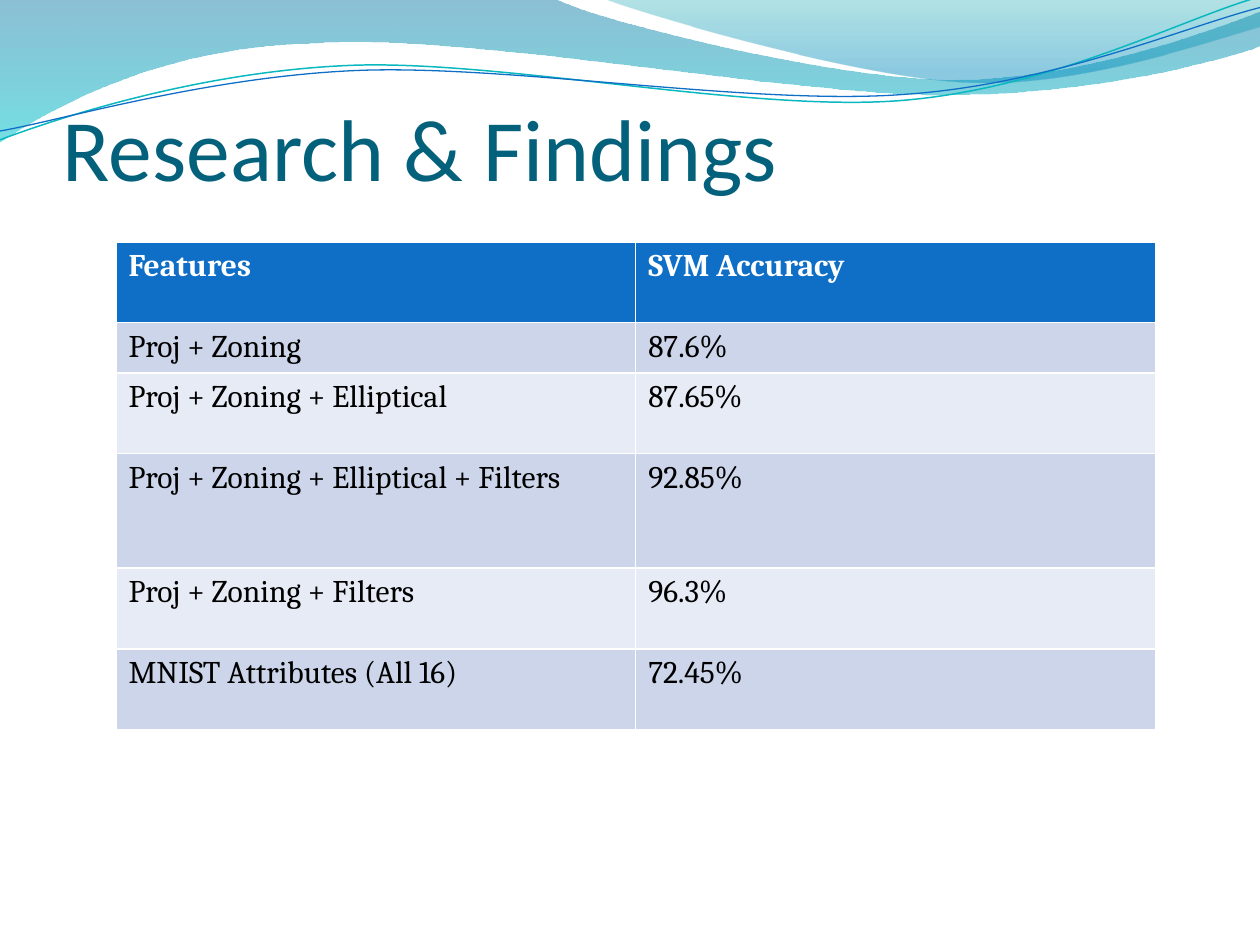
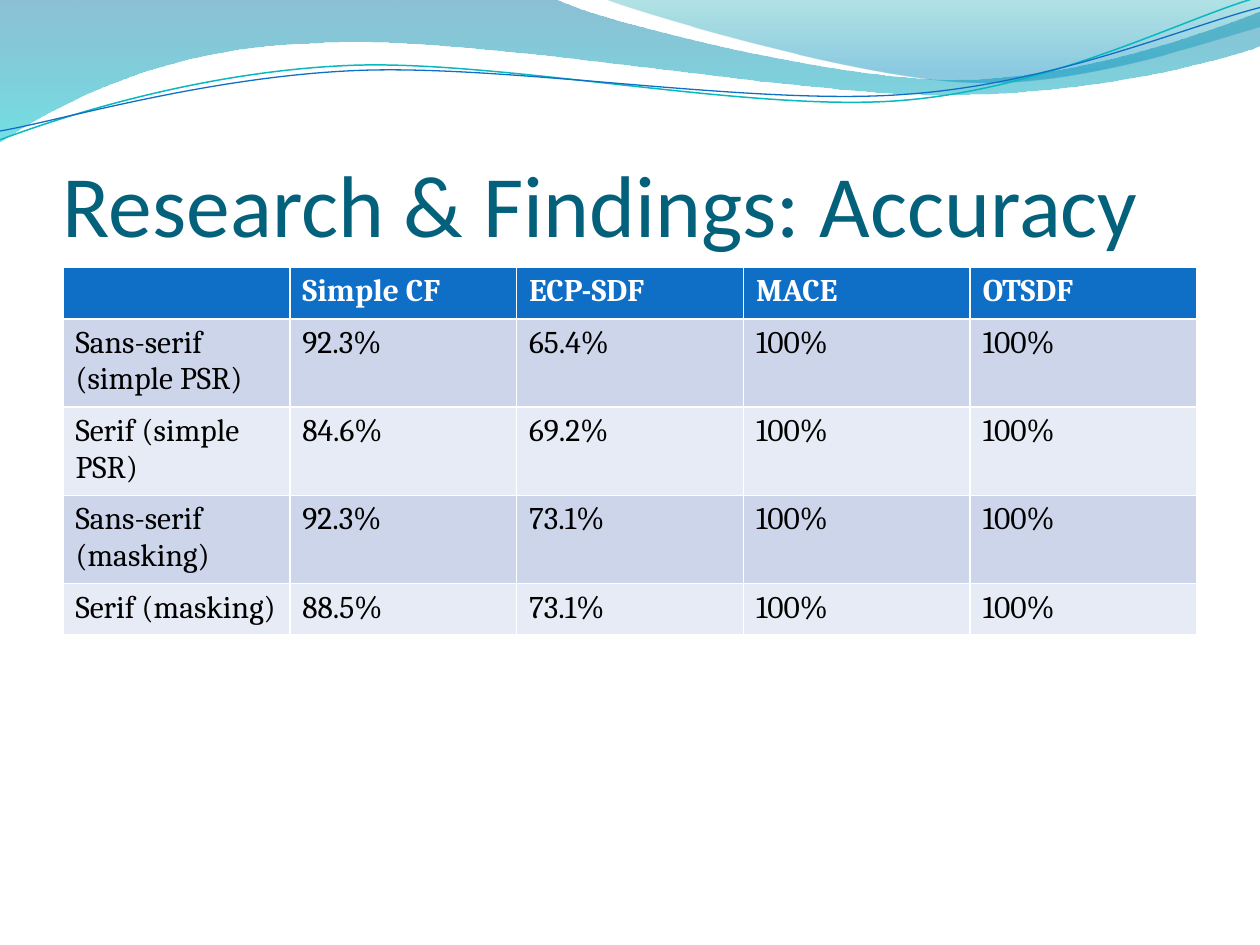
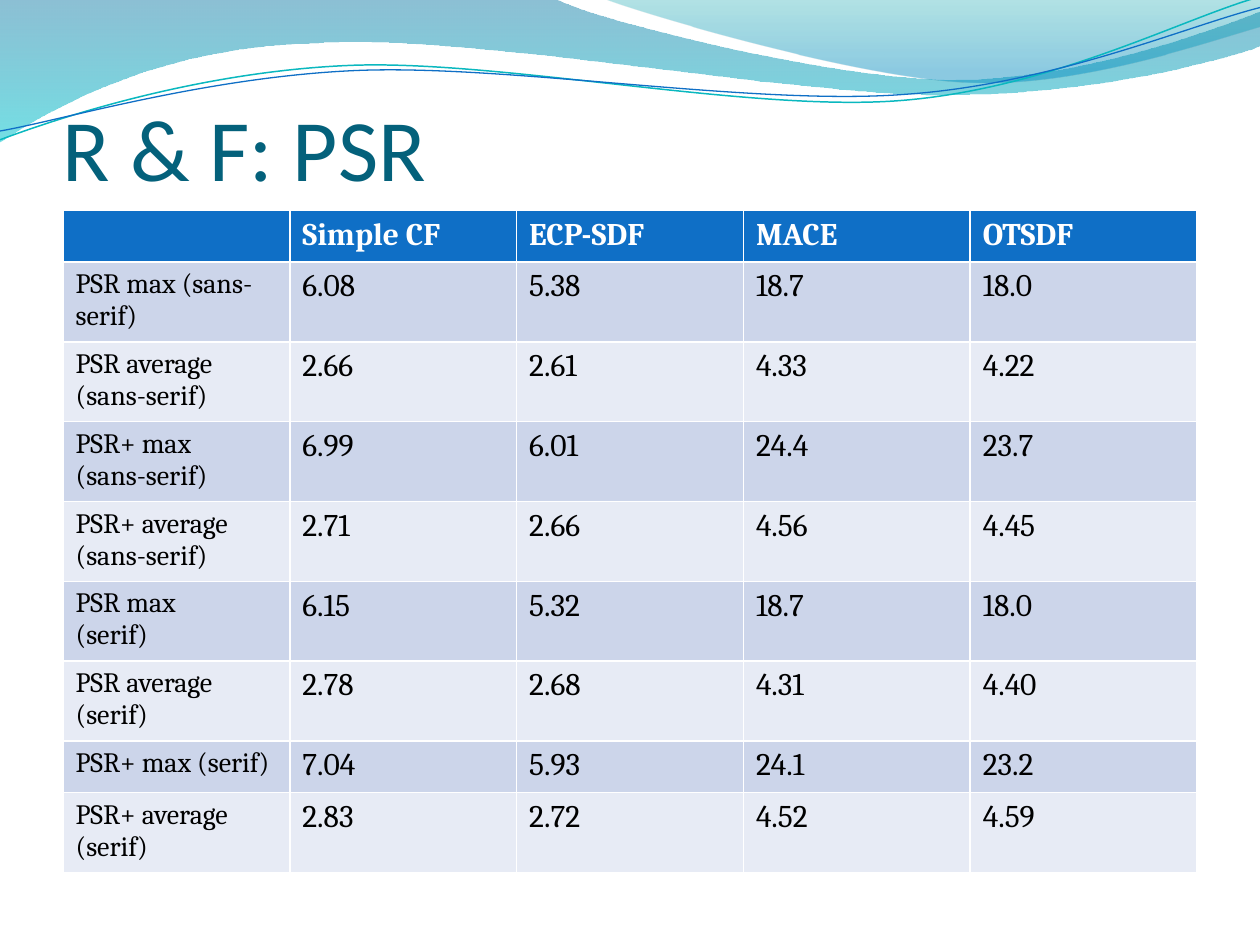
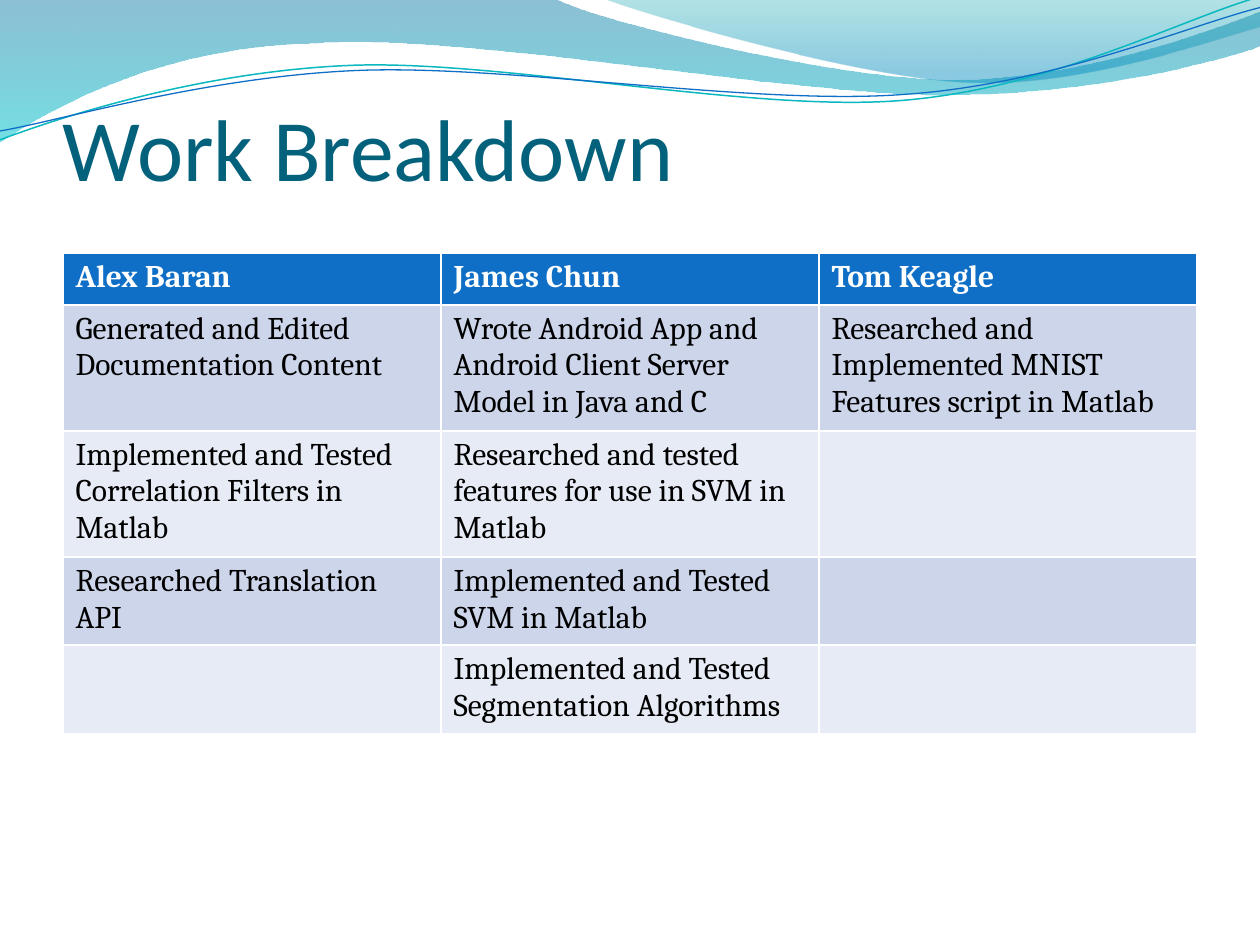
"""Build four slides of research results under a shared wave header."""
from lxml.etree import SubElement as Sub
from pptx import Presentation
from pptx.dml.color import RGBColor
from pptx.enum.text import MSO_ANCHOR as Anchor
from pptx.oxml.ns import qn
from pptx.util import Inches, Pt

WHITE, BLACK, BLUE, TITLE = "FFFFFF", "000000", "0F6FC6", "04617B"
BANDS = ["E7EBF5", "CCD5EA"]
HEAD_FONT, BODY_FONT = "Calibri", "Cambria"
ROW = 0.41
FILTERS = ["", "Simple CF", "ECP-SDF", "MACE", "OTSDF"]

SLIDES = [
    {
        "title": "Research & Findings", "top": 0.33,
        "at": (0.92, 1.92), "width": 8.25,
        "heights": [0.64, 0.37, 0.64, 0.91, 0.64, 0.64],
        "rows": [
            ["Features", "SVM Accuracy"],
            ["Proj + Zoning", "87.6%"],
            ["Proj + Zoning + Elliptical", "87.65%"],
            ["Proj + Zoning + Elliptical + Filters", "92.85%"],
            ["Proj + Zoning + Filters", "96.3%"],
            ["MNIST Attributes (All 16)", "72.45%"],
        ],
    },
    {
        "title": "Research & Findings: Accuracy", "top": 0.77,
        "at": (0.5, 2.12), "width": 9,
        "rows": [
            FILTERS,
            ["Sans-serif (simple PSR)", "92.3%", "65.4%", "100%", "100%"],
            ["Serif (simple PSR)", "84.6%", "69.2%", "100%", "100%"],
            ["Sans-serif (masking)", "92.3%", "73.1%", "100%", "100%"],
            ["Serif (masking)", "88.5%", "73.1%", "100%", "100%"],
        ],
    },
    {
        "title": "R & F: PSR", "top": 0.33,
        "at": (0.5, 1.67), "width": 9, "label": 16,
        "rows": [
            FILTERS,
            ["PSR max (sans-serif)", "6.08", "5.38", "18.7", "18.0"],
            ["PSR average\n(sans-serif)", "2.66", "2.61", "4.33", "4.22"],
            ["PSR+ max\n(sans-serif)", "6.99", "6.01", "24.4", "23.7"],
            ["PSR+ average (sans-serif)", "2.71", "2.66", "4.56", "4.45"],
            ["PSR max\n(serif)", "6.15", "5.32", "18.7", "18.0"],
            ["PSR average (serif)", "2.78", "2.68", "4.31", "4.40"],
            ["PSR+ max (serif)", "7.04", "5.93", "24.1", "23.2"],
            ["PSR+ average (serif)", "2.83", "2.72", "4.52", "4.59"],
        ],
    },
    {
        "title": "Work Breakdown", "top": 0.33,
        "at": (0.5, 2.01), "width": 9,
        "rows": [
            ["Alex Baran", "James Chun", "Tom Keagle"],
            ["Generated and Edited Documentation Content",
             "Wrote Android App and Android Client Server Model in Java and C",
             "Researched and Implemented MNIST Features script in Matlab"],
            ["Implemented and Tested Correlation Filters in Matlab",
             "Researched and tested features for use in SVM in Matlab", ""],
            ["Researched Translation API",
             "Implemented and Tested SVM in Matlab", ""],
            ["", "Implemented and Tested Segmentation Algorithms", ""],
        ],
    },
]

# Each step holds one point for a straight line or three for a curve.
WAVES = [
    {"start": (0, 0),
     "steps": [[(4.4, -0.01)],
               [(4.76, 0.17), (6.64, 0.63), (7.58, 0.63)],
               [(8.53, 0.63), (9.58, 0.26), (10, 0.09)],
               [(10.01, 0.36)],
               [(9.83, 0.44), (8.7, 0.76), (7.46, 0.75)],
               [(6.22, 0.75), (3.82, 0.28), (2.57, 0.34)],
               [(1.29, 0.36), (0.46, 0.83), (-0.01, 1.13)],
               [(0, 0)]],
     "stops": [(0, "0074A1", 45), (1, "00C6CF", 55)]},
    {"start": (4.79, -0.01),
     "steps": [[(5.09, 0.11), (6.82, 0.62), (7.69, 0.65)],
               [(8.56, 0.69), (9.61, 0.32), (10, 0.21)],
               [(10, 0)],
               [(4.79, -0.01)]],
     "stops": [(0, "00A1A9", 30), (0.8, "008BBF", 45)]},
    {"start": (0, 1.11),
     "steps": [[(0.48, 0.93), (1.58, 0.57), (2.77, 0.52)],
               [(3.95, 0.47), (5.93, 0.89), (7.13, 0.8)],
               [(8.33, 0.71), (9.38, 0.15), (9.98, -0.02)]],
     "line": ("0AB8BF", 0.85)},
    {"start": (0, 1.04),
     "steps": [[(0.47, 0.96), (1.64, 0.61), (2.83, 0.56)],
               [(4.03, 0.51), (5.97, 0.84), (7.17, 0.75)],
               [(8.36, 0.67), (9.41, 0.21), (10, 0.06)]],
     "line": (BLUE, 0.75)},
]


def rgb(code):
    return RGBColor.from_string(code)


def style(frame, size, font, color, bold=False):
    for para in frame.paragraphs:
        for run in para.runs:
            run.font.size = Pt(size)
            run.font.name = font
            run.font.bold = bold
            run.font.color.rgb = rgb(color)


def bend(shape, steps):
    legs = iter(list(shape.element.iter(qn("a:lnTo"))))
    for step in steps:
        group = [next(legs) for _ in step]
        if len(group) == 1:
            continue
        curve = group[0].makeelement(qn("a:cubicBezTo"))
        group[0].addprevious(curve)
        for leg in group:
            curve.append(leg[0])
            leg.getparent().remove(leg)


def add_wave(slide, wave):
    steps = wave["steps"]
    spots = [(Inches(x), Inches(y)) for step in steps for x, y in step]
    pen = slide.shapes.build_freeform(*map(Inches, wave["start"]))
    pen.add_line_segments(spots, close="stops" in wave)
    shape = pen.convert_to_shape()
    bend(shape, steps)
    shape.shadow.inherit = False
    if "line" in wave:
        color, width = wave["line"]
        shape.fill.background()
        shape.line.color.rgb = rgb(color)
        shape.line.width = Pt(width)
        return shape
    shape.line.fill.background()
    shape.fill.gradient()
    shape.fill.gradient_angle = 270
    for stop, (spot, color, _) in zip(shape.fill.gradient_stops, wave["stops"]):
        stop.position = spot
        stop.color.rgb = rgb(color)
    tints = list(shape.element.iter(qn("a:srgbClr")))
    for tint, (_, _, alpha) in zip(tints, wave["stops"]):
        Sub(tint, qn("a:alpha"), val=str(alpha * 1000))
    return shape


def add_title(slide, text, top):
    box = slide.shapes.add_textbox(Inches(0.5), Inches(top), Inches(9), Inches(1.25))
    frame = box.text_frame
    frame.word_wrap = True
    frame.vertical_anchor = Anchor.BOTTOM
    frame.margin_left = frame.margin_right = frame.margin_bottom = 0
    frame.margin_top = Inches(0.05)
    frame.text = text
    style(frame, 50, HEAD_FONT, TITLE)


def add_grid(slide, data):
    rows = data["rows"]
    heights = data.get("heights", [ROW] * len(rows))
    left, top = data["at"]
    table = slide.shapes.add_table(
        len(rows), len(rows[0]), Inches(left), Inches(top),
        Inches(data["width"]), Inches(sum(heights))).table
    for r, (texts, height) in enumerate(zip(rows, heights)):
        table.rows[r].height = Inches(height)
        head = r == 0
        for c, text in enumerate(texts):
            cell = table.cell(r, c)
            cell.fill.solid()
            cell.fill.fore_color.rgb = rgb(BLUE if head else BANDS[r % 2])
            cell.text_frame.text = text
            size = data.get("label", 18) if c == 0 else 18
            style(cell.text_frame, size, BODY_FONT, WHITE if head else BLACK, head)


def main():
    deck = Presentation()
    deck.slide_width, deck.slide_height = Inches(10), Inches(7.5)
    blank = deck.slide_layouts[6]
    for data in SLIDES:
        slide = deck.slides.add_slide(blank)
        if len(deck.slides) == 1:
            for wave in WAVES:
                blank.shapes.element.append(add_wave(slide, wave).element)
        add_title(slide, data["title"], data["top"])
        add_grid(slide, data)
    deck.save("out.pptx")


if __name__ == "__main__":
    main()
